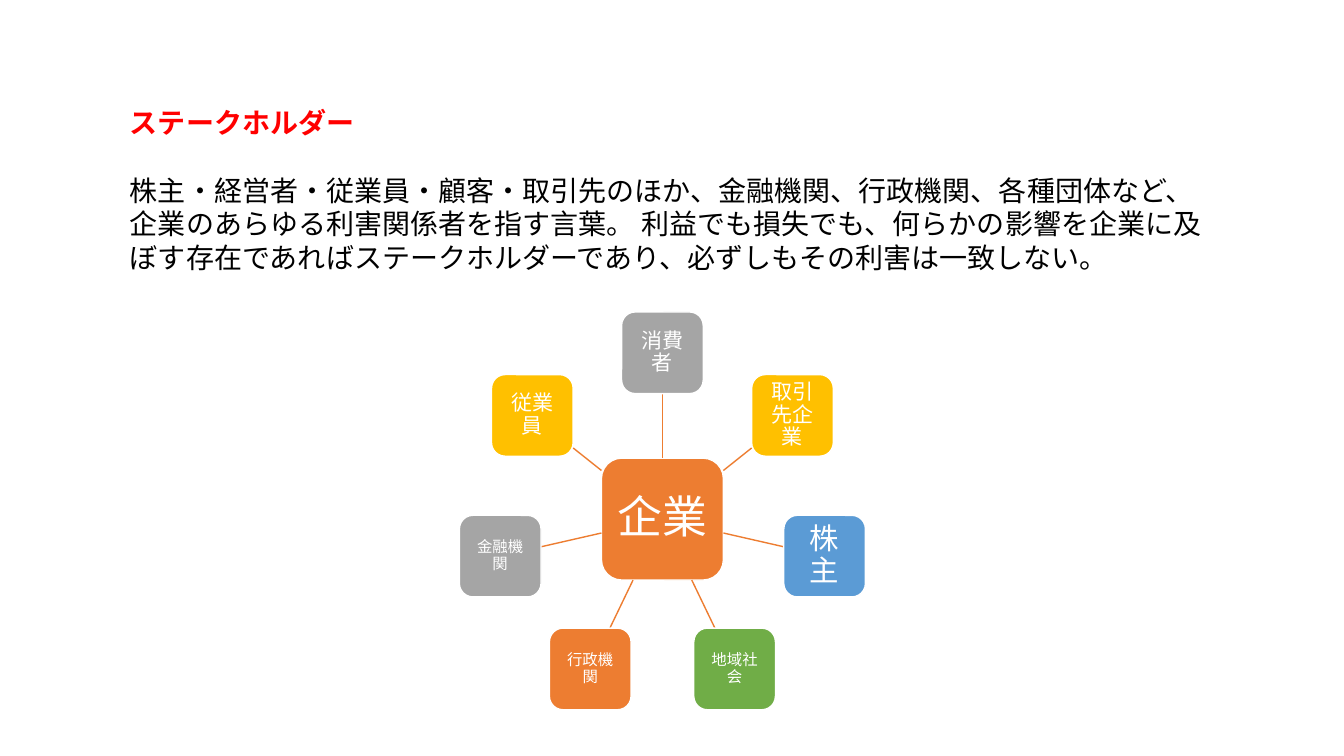
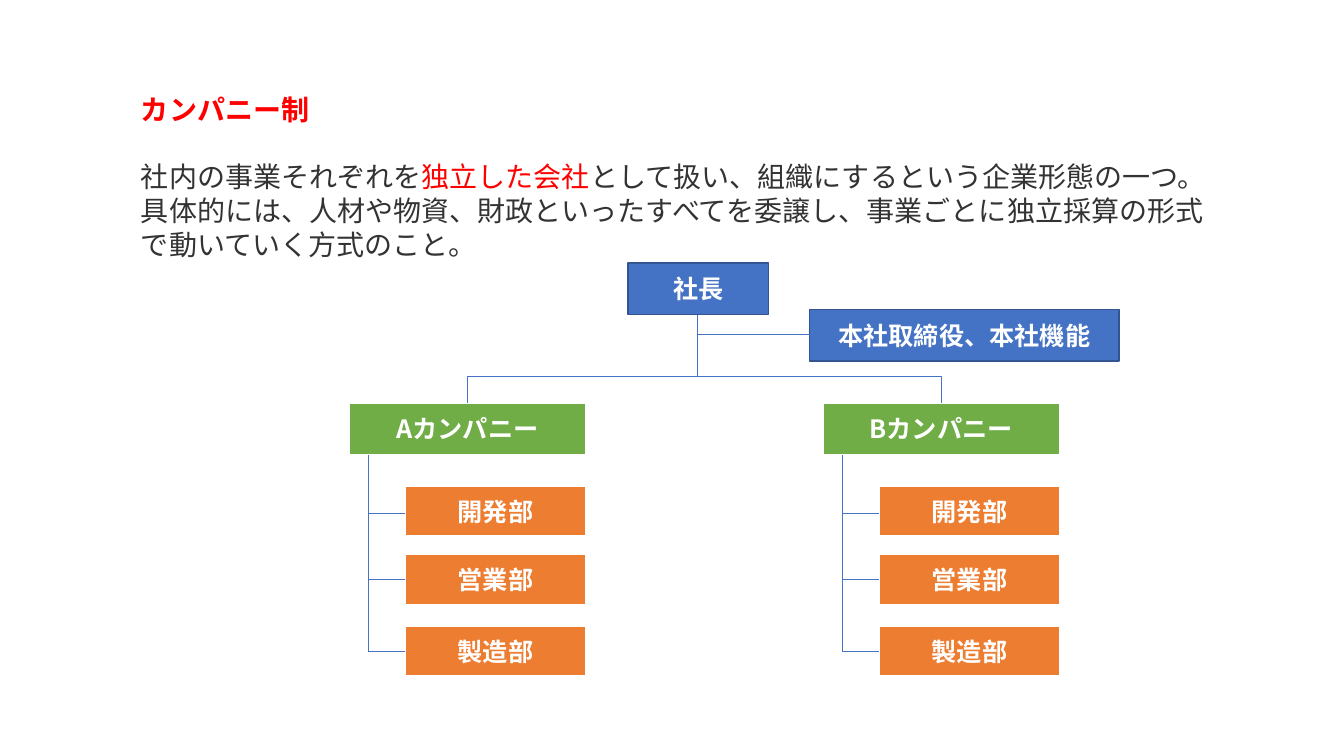
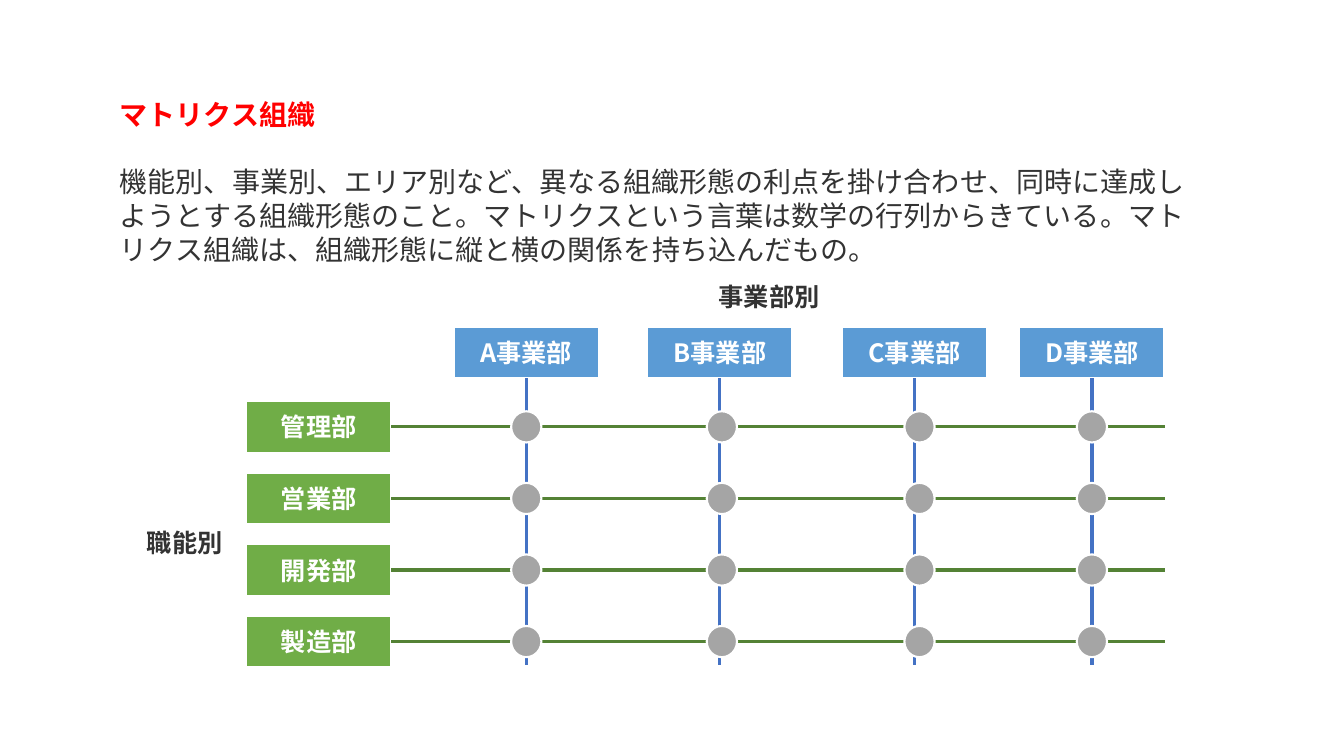
import math

import lxml.etree
import pptx
import pptx.dml.color
import pptx.enum.shapes
import pptx.enum.text
import pptx.oxml.ns
import pptx.util

Inches = pptx.util.Inches
Pt = pptx.util.Pt
qn = pptx.oxml.ns.qn
colour = pptx.dml.color.RGBColor.from_string
SHAPES = pptx.enum.shapes.MSO_SHAPE
CONNECTORS = pptx.enum.shapes.MSO_CONNECTOR

TYPEFACE = "Noto Sans CJK JP"
RED, DARK, BLACK, WHITE = "FF0000", "333333", "000000", "FFFFFF"
BLUE, NAVY, SKY = "4472C4", "325491", "5B9BD5"
GREEN, FOREST = "70AD47", "548235"
ORANGE, GOLD, GREY = "ED7D31", "FFC000", "A5A5A5"


def add_box(slide, kind, at, fill, text="", size=18, bold=True, outline=WHITE, outline_width=1.5):
    """Add a filled shape with centred white text; at is left, top, width, height."""
    box = slide.shapes.add_shape(kind, *map(Inches, at))
    box.shadow.inherit = False
    box.fill.solid()
    box.fill.fore_color.rgb = colour(fill)
    box.line.color.rgb = colour(outline)
    box.line.width = Pt(outline_width)
    frame = box.text_frame
    frame.word_wrap = True
    frame.vertical_anchor = pptx.enum.text.MSO_ANCHOR.MIDDLE
    frame.margin_left = frame.margin_right = Inches(0.08)
    frame.margin_top = frame.margin_bottom = Inches(0.05)
    if text:
        frame.text = text
        paragraph = frame.paragraphs[0]
        paragraph.alignment = pptx.enum.text.PP_ALIGN.CENTER
        paragraph.font.size = Pt(size)
        paragraph.font.bold = bold
        paragraph.font.color.rgb = colour(WHITE)
    return box


def add_line(slide, start, end, line_colour, width, kind=CONNECTORS.STRAIGHT):
    line = slide.shapes.add_connector(kind, *map(Inches, (*start, *end)))
    line.line.color.rgb = colour(line_colour)
    line.line.width = Pt(width)
    lxml.etree.SubElement(line._element.spPr, qn("a:effectLst"))
    return line


deck = pptx.Presentation()
deck.slide_width = Inches(13.33)
deck.slide_height = Inches(7.5)

# Each topic: position, title, and description as coloured runs
topics = [
    (1.19, 1, "ステークホルダー", [
        ("株主・経営者・従業員・顧客・取引先のほか、金融機関、行政機関、各種団体など、"
         "企業のあらゆる利害関係者を指す言葉。 利益でも損失でも、何らかの影響を企業に"
         "及ぼす存在であればステークホルダーであり、必ずしもその利害は一致しない。", BLACK)]),
    (1.3, 0.87, "カンパニー制", [
        ("社内の事業それぞれを", DARK),
        ("独立した会社", RED),
        ("として扱い、組織にするという企業形態の一つ。具体的には、人材や物資、財政といった"
         "すべてを委譲し、事業ごとに独立採算の形式で動いていく方式のこと。", DARK)]),
    (1.09, 0.92, "マトリクス組織", [
        ("機能別、事業別、エリア別など、異なる組織形態の利点を掛け合わせ、同時に達成しよう"
         "とする組織形態のこと。マトリクスという言葉は数学の行列からきている。"
         "マトリクス組織は、組織形態に縦と横の関係を持ち込んだもの。", DARK)]),
]
for left, top, title, description in topics:
    slide = deck.slides.add_slide(deck.slide_layouts[6])
    frame = slide.shapes.add_textbox(
        Inches(left), Inches(top), Inches(10.95), Inches(1.78)).text_frame
    frame.word_wrap = True
    heading = frame.paragraphs[0]
    heading.text = title
    heading.font.bold = True
    heading.font.color.rgb = colour(RED)
    body = frame.add_paragraph()
    body.space_before = Pt(24)
    for words, run_colour in description:
        run = body.add_run()
        run.text = words
        run.font.color.rgb = colour(run_colour)
    for paragraph in frame.paragraphs:
        paragraph.line_spacing = Pt(24)
        paragraph.font.size = Pt(20)

stakeholder_slide, company_slide, matrix_slide = deck.slides

# Stakeholders, clockwise on a ring around the company
centre_x, centre_y, ring_radius = 6.57, 5.15, 1.65
hub_size, holder_size = 1.21, 0.81
hub = add_box(stakeholder_slide, SHAPES.ROUNDED_RECTANGLE,
              (centre_x - hub_size / 2, centre_y - hub_size / 2, hub_size, hub_size),
              ORANGE, "企業", 32, False, outline_width=1)
hub.text_frame.paragraphs[0].line_spacing = 0.9
stakeholders = [
    ("消費者", GREY, 15), ("取引先企業", GOLD, 15), ("株主", SKY, 21), ("地域社会", GREEN, 11),
    ("行政機関", ORANGE, 11), ("金融機関", GREY, 11), ("従業員", GOLD, 15),
]
for index, (name, fill, size) in enumerate(stakeholders):
    angle = 2 * math.pi * index / len(stakeholders)
    dx, dy = math.sin(angle), -math.cos(angle)
    # Distance along the spoke to the edge of a square, per unit of half its side
    reach = 1 / max(abs(dx), abs(dy))
    spoke_start = reach * hub_size / 2
    spoke_end = ring_radius - reach * holder_size / 2
    add_line(stakeholder_slide,
             (centre_x + dx * spoke_start, centre_y + dy * spoke_start),
             (centre_x + dx * spoke_end, centre_y + dy * spoke_end), ORANGE, 1)
    holder = add_box(stakeholder_slide, SHAPES.ROUNDED_RECTANGLE,
                     (centre_x + dx * ring_radius - holder_size / 2,
                      centre_y + dy * ring_radius - holder_size / 2,
                      holder_size, holder_size),
                     fill, name, size, False, outline_width=1)
    holder.text_frame.paragraphs[0].line_spacing = 0.9

# Company organisation chart
trunk_x, trunk_top, company_top = 6.92, 3.12, 4
for name, at in [("社長", (6.23, 2.61, 1.39, 0.51)),
                 ("本社取締役、本社機能", (8.03, 3.07, 3.07, 0.51))]:
    add_box(company_slide, SHAPES.FLOWCHART_PROCESS, at, BLUE, name,
            outline=NAVY, outline_width=1)
add_line(company_slide, (8.03, 3.32), (trunk_x, 3.32), BLUE, 0.5)

for name, left, rotation in [("Aカンパニー", 3.46, 90), ("Bカンパニー", 8.16, 270)]:
    add_box(company_slide, SHAPES.FLOWCHART_PROCESS, (left, company_top, 2.35, 0.51), GREEN, name)

    # The elbow is laid out sideways, then turned so that it leaves downwards
    company_x = left + 1.18
    middle_x, middle_y = (trunk_x + company_x) / 2, (trunk_top + company_top) / 2
    half_drop = (company_top - trunk_top) / 2 * (1 if rotation == 90 else -1)
    half_span = abs(trunk_x - company_x) / 2
    elbow = add_line(company_slide,
                     (middle_x - half_drop, middle_y - half_span),
                     (middle_x + half_drop, middle_y + half_span),
                     BLUE, 0.5, CONNECTORS.ELBOW)
    elbow._element.spPr.find(qn("a:xfrm")).set("rot", str(rotation * 60000))
    bend = elbow._element.spPr.find(qn("a:prstGeom")).find(qn("a:avLst"))
    lxml.etree.SubElement(bend, qn("a:gd"), name="adj1", fmla="val 70000")

    stem_x, division_left = left + 0.19, left + 0.56
    add_line(company_slide, (stem_x, 4.51), (stem_x, 6.46), BLUE, 0.5)
    for division, top, branch_y in [("開発部", 4.82, 5.09), ("営業部", 5.5, 5.75),
                                    ("製造部", 6.21, 6.46)]:
        add_box(company_slide, SHAPES.FLOWCHART_PROCESS,
                (division_left, top, 1.79, 0.5), ORANGE, division)
        add_line(company_slide, (division_left, branch_y), (stem_x, branch_y), BLUE, 0.5)

# Matrix of business units and functions
unit_width, unit_height, unit_top = 1.44, 0.51, 3.24
units = [("A事業部", 4.5, 5.22), ("B事業部", 6.42, 7.16),
         ("C事業部", 8.35, 9.12), ("D事業部", 10.11, 10.83)]
for name, left, _ in units:
    add_box(matrix_slide, SHAPES.FLOWCHART_PROCESS,
            (left, unit_top, unit_width, unit_height), SKY, name)
    line_x = left + unit_width / 2
    add_line(matrix_slide, (line_x, unit_top + unit_height), (line_x, 6.6), BLUE, 2.25)

function_left, function_top, function_step = 2.44, 3.98, 0.71
node_width, node_height = 0.3, 0.31
for row, name in enumerate(["管理部", "営業部", "開発部", "製造部"]):
    top = function_top + row * function_step
    line_y = top + unit_height / 2
    add_box(matrix_slide, SHAPES.FLOWCHART_PROCESS,
            (function_left, top, unit_width, unit_height), GREEN, name)
    add_line(matrix_slide, (function_left + unit_width, line_y), (11.55, line_y), FOREST, 2.25)
    for _, _, node_x in units:
        add_box(matrix_slide, SHAPES.OVAL,
                (node_x - node_width / 2, line_y - node_height / 2, node_width, node_height), GREY)

for axis_name, left, top in [("事業部別", 7.03, 2.74), ("職能別", 1.36, 5.18)]:
    frame = matrix_slide.shapes.add_textbox(
        Inches(left), Inches(top), Inches(1.44), Inches(0.4)).text_frame
    frame.word_wrap = True
    axis = frame.paragraphs[0]
    axis.text = axis_name
    axis.font.size = Pt(18)
    axis.font.bold = True
    axis.font.color.rgb = colour(DARK)

# One typeface for Latin and Japanese text throughout
for slide in deck.slides:
    for shape in slide.shapes:
        if shape.has_text_frame and shape.text_frame.text:
            for paragraph in shape.text_frame.paragraphs:
                paragraph.font.name = TYPEFACE
                defaults = paragraph._p.pPr.find(qn("a:defRPr"))
                lxml.etree.SubElement(defaults, qn("a:ea"), typeface=TYPEFACE)

deck.save("out.pptx")
